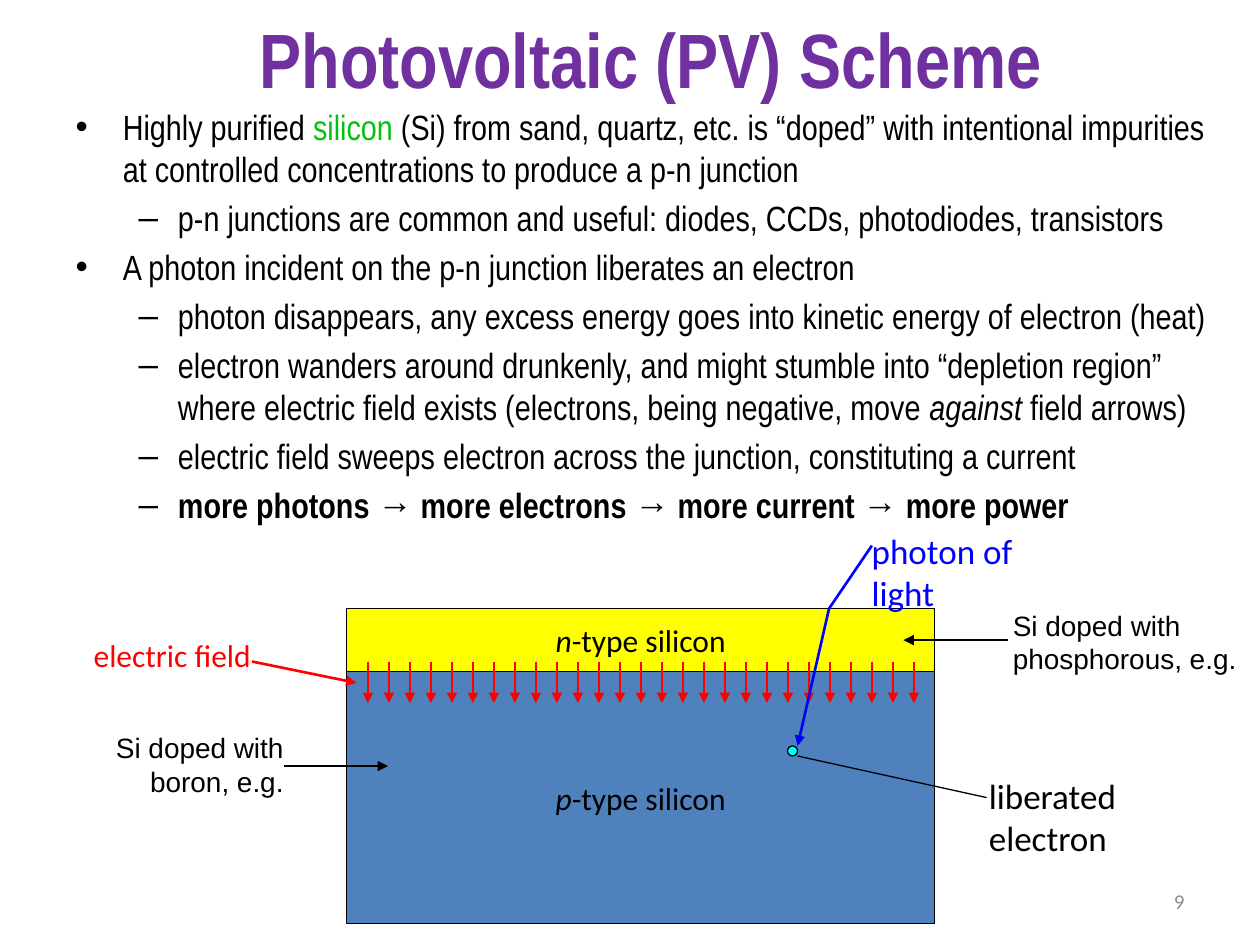
"""Build the slide explaining how a photovoltaic junction works."""
from lxml import etree
from pptx import Presentation
from pptx.dml.color import RGBColor
from pptx.enum.shapes import MSO_CONNECTOR, MSO_SHAPE
from pptx.enum.text import MSO_ANCHOR, MSO_AUTO_SIZE, PP_ALIGN
from pptx.oxml.ns import qn
from pptx.util import Inches, Pt

STRAIGHT = MSO_CONNECTOR.STRAIGHT
RECTANGLE, OVAL = MSO_SHAPE.RECTANGLE, MSO_SHAPE.OVAL
TOP, MIDDLE = MSO_ANCHOR.TOP, MSO_ANCHOR.MIDDLE
LEFT, CENTER, RIGHT = PP_ALIGN.LEFT, PP_ALIGN.CENTER, PP_ALIGN.RIGHT
NO_AUTOFIT = MSO_AUTO_SIZE.NONE
BLACK, RED, BLUE = "000000", "FF0000", "0000FF"


def style_run(run, size, font_name, colour):
    run.font.size = Pt(size)
    run.font.name = font_name
    run.font.color.rgb = RGBColor.from_string(colour)


def add_line(shapes, start, end, colour, width, arrow=True):
    line = shapes.add_connector(STRAIGHT, *[Inches(value) for value in start + end])
    line.line.color.rgb = RGBColor.from_string(colour)
    line.line.width = Pt(width)
    if arrow:
        etree.SubElement(line.line._get_or_add_ln(), qn("a:tailEnd"), type="triangle")
    etree.SubElement(line._element.spPr, qn("a:effectLst"))


presentation = Presentation()
presentation.slide_width = Inches(10)
presentation.slide_height = Inches(7.5)
slide = presentation.slides.add_slide(presentation.slide_layouts[1])

title = slide.shapes.title
title.left, title.top, title.width, title.height = [Inches(v) for v in (0.92, 0, 8.5, 0.92)]
title.text_frame.text = "Photovoltaic (PV) Scheme"
title.text_frame.auto_size = NO_AUTOFIT
title_run = title.text_frame.paragraphs[0].runs[0]
style_run(title_run, 44, "Arial Narrow", "7030A0")
title_run.font.bold = True

bullets = [
    (0, [("Highly purified ", ""), ("silicon", "green"),
         (" (Si) from sand, quartz, etc. is “doped” with intentional impurities "
          "at controlled concentrations to produce a p-n junction", "")]),
    (1, [("p-n junctions are common and useful: diodes, CCDs, photodiodes, transistors", "")]),
    (0, [("A photon incident on the p-n junction liberates an electron", "")]),
    (1, [("photon disappears, any excess energy goes into kinetic energy of electron (heat)", "")]),
    (1, [("electron wanders around drunkenly, and might stumble into “depletion region” "
          "where electric field exists (electrons, being negative, move ", ""),
         ("against ", "italic"), ("field arrows)", "")]),
    (1, [("electric field sweeps electron across the junction, constituting a current", "")]),
    (1, [("more photons → more electrons → more current → more power", "bold")]),
]
body = slide.placeholders[1]
body.left, body.top, body.width, body.height = [Inches(v) for v in (0.5, 0.79, 9.33, 3.75)]
body.text_frame.auto_size = NO_AUTOFIT
for index, (level, parts) in enumerate(bullets):
    paragraph = body.text_frame.add_paragraph() if index else body.text_frame.paragraphs[0]
    paragraph.level = level
    for text, emphasis in parts:
        run = paragraph.add_run()
        run.text = text
        style_run(run, 20, "Arial Narrow", "03C20F" if emphasis == "green" else BLACK)
        if emphasis == "bold":
            run.font.bold = True
        if emphasis == "italic":
            run.font.italic = True

device = slide.shapes.add_group_shape().shapes
for letter, top, height, colour in [("n", 4.83, 0.5, "FFFF00"), ("p", 5.33, 2, "4F81BD")]:
    layer = device.add_shape(RECTANGLE, Inches(2.75), Inches(top), Inches(4.67), Inches(height))
    layer.shadow.inherit = False
    layer.fill.solid()
    layer.fill.fore_color.rgb = RGBColor.from_string(colour)
    layer.line.color.rgb = RGBColor.from_string(BLACK)
    layer.line.width = Pt(0.75)
    layer.text_frame.word_wrap = False
    layer.text_frame.vertical_anchor = MIDDLE
    paragraph = layer.text_frame.paragraphs[0]
    paragraph.alignment = CENTER
    for text, italic in [(letter, True), ("-type silicon", False)]:
        run = paragraph.add_run()
        run.text = text
        style_run(run, 18, "Calibri", BLACK)
        run.font.italic = italic

for index in range(27):
    x = 2.92 + index / 6
    add_line(device, (x, 5.25), (x, 5.58), RED, 1.5)

photon_path = slide.shapes.add_group_shape().shapes
add_line(photon_path, (6.92, 4.33), (6.58, 4.83), BLUE, 1.5, arrow=False)
add_line(photon_path, (6.58, 4.83), (6.33, 5.92), BLUE, 1.5)

electron = slide.shapes.add_shape(OVAL, Inches(6.25), Inches(5.92), Inches(0.08), Inches(0.08))
electron.shadow.inherit = False
electron.fill.solid()
electron.fill.fore_color.rgb = RGBColor.from_string("00FFFF")
electron.line.color.rgb = RGBColor.from_string(BLACK)
electron.line.width = Pt(0.75)

add_line(slide.shapes, (6.33, 6), (7.83, 6.33), BLACK, 0.75, arrow=False)
add_line(slide.shapes, (2, 5.25), (2.83, 5.42), RED, 1.5)
add_line(slide.shapes, (8, 5.08), (7.17, 5.08), BLACK, 0.75)
add_line(slide.shapes, (2.25, 6.08), (3.08, 6.08), BLACK, 0.75)

labels = [
    ("photon of light", (6.82, 4.15, 1.8, 0.43), 20, "Calibri", BLUE, LEFT, TOP, True),
    ("liberated electron", (7.75, 6.1, 2.1, 0.43), 20, "Calibri", BLACK, LEFT, TOP, True),
    ("electric field", (0.63, 5, 1.46, 0.4), 18, "Calibri", RED, RIGHT, TOP, False),
    ("Si doped with\nboron, e.g.", (0.81, 5.75, 1.54, 0.64), 16, "Arial", BLACK, RIGHT, TOP, False),
    ("Si doped with\nphosphorous, e.g.", (7.94, 4.78, 1.98, 0.64), 16, "Arial", BLACK, LEFT, TOP, False),
    ("9", (7.17, 6.95, 2.33, 0.4), 12, "Calibri", "8C8C8C", RIGHT, MIDDLE, True),
]
for text, box, size, font_name, colour, alignment, anchor, wrap in labels:
    label = slide.shapes.add_textbox(*[Inches(value) for value in box])
    label.text_frame.text = text
    label.text_frame.word_wrap = wrap
    label.text_frame.vertical_anchor = anchor
    for paragraph in label.text_frame.paragraphs:
        paragraph.alignment = alignment
        style_run(paragraph.runs[0], size, font_name, colour)

presentation.save("out.pptx")
